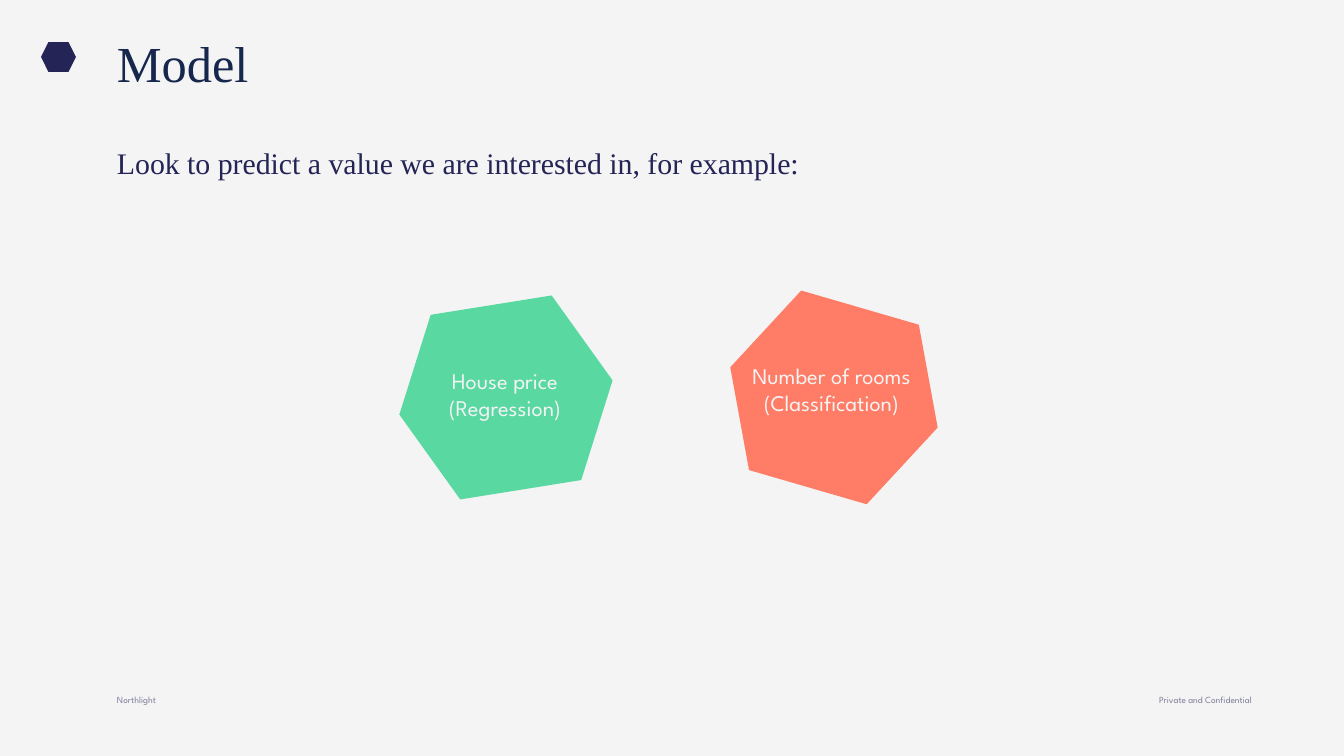
from pptx import Presentation
from pptx.dml.color import RGBColor
from pptx.enum.shapes import MSO_SHAPE
from pptx.enum.text import MSO_ANCHOR, PP_ALIGN
from pptx.util import Emu, Pt

HEXAGON = MSO_SHAPE.HEXAGON
TOP, MIDDLE, BOTTOM = MSO_ANCHOR.TOP, MSO_ANCHOR.MIDDLE, MSO_ANCHOR.BOTTOM
LEFT, CENTER = PP_ALIGN.LEFT, PP_ALIGN.CENTER

SERIF = "Times New Roman"
SANS = "League Spartan"
COLORS = {
    "background": "F4F4F4",
    "title": "16264D",
    "navy": "242456",
    "footer": "7C7C9A",
    "coral": "FF7C66",
    "green": "59D8A1",
}
EMU_PER_PX = 914400 / 134.4
MARGIN = 117


def px(length):
    return Emu(round(length * EMU_PER_PX))


def color(name):
    return RGBColor.from_string(COLORS[name])


def add_text(page, area, text, font, size, color_name, anchor=TOP, align=LEFT):
    box = page.shapes.add_textbox(*map(px, area))
    frame = box.text_frame
    frame.word_wrap = True
    frame.vertical_anchor = anchor
    frame.margin_left = frame.margin_right = 0
    frame.margin_top = frame.margin_bottom = 0
    frame.text = text
    para = frame.paragraphs[0]
    para.alignment = align
    span = para.runs[0]
    span.font.name = font
    span.font.size = Pt(size)
    span.font.color.rgb = color(color_name)


def add_hexagon(page, area, color_name, rotation=0):
    hexagon = page.shapes.add_shape(HEXAGON, *map(px, area))
    hexagon.adjustments[0] = 0.25
    hexagon.rotation = rotation
    hexagon.shadow.inherit = False
    hexagon.fill.solid()
    hexagon.fill.fore_color.rgb = color(color_name)
    hexagon.line.fill.background()


def add_example(page, left, rotation, color_name, label, label_area):
    add_hexagon(page, (left, 304, 216, 187), color_name, rotation)
    add_text(page, label_area, label, SANS, 12, "background", MIDDLE, CENTER)


def add_footer(page, left, width, text):
    add_text(page, (left, 675, width, 30), text, SANS, 5, "footer", BOTTOM)


def main():
    deck = Presentation()
    deck.slide_width, deck.slide_height = px(1344), px(756)
    page = deck.slides.add_slide(deck.slide_layouts[6])
    page.background.fill.solid()
    page.background.fill.fore_color.rgb = color("background")

    # Footer and emblem
    add_footer(page, MARGIN, 664, "Northlight")
    add_footer(page, 1159, 143, "Private and Confidential")
    add_hexagon(page, (41, 42, 35, 30), "navy")

    # Title and introduction
    add_text(page, (MARGIN, 145, 745, 47),
             "Look to predict a value we are interested in, for example:",
             SERIF, 16, "navy")
    add_text(page, (MARGIN, 32, 1184, 60), "Model", SERIF, 27, "title")

    # Example predictions
    add_example(page, 726, 16.2, "coral", "Number of rooms (Classification)",
                (743, 348, 177, 82))
    add_example(page, 398, 350.9, "green", "House price (Regression)",
                (435, 367, 140, 54))

    deck.save("out.pptx")


if __name__ == "__main__":
    main()
